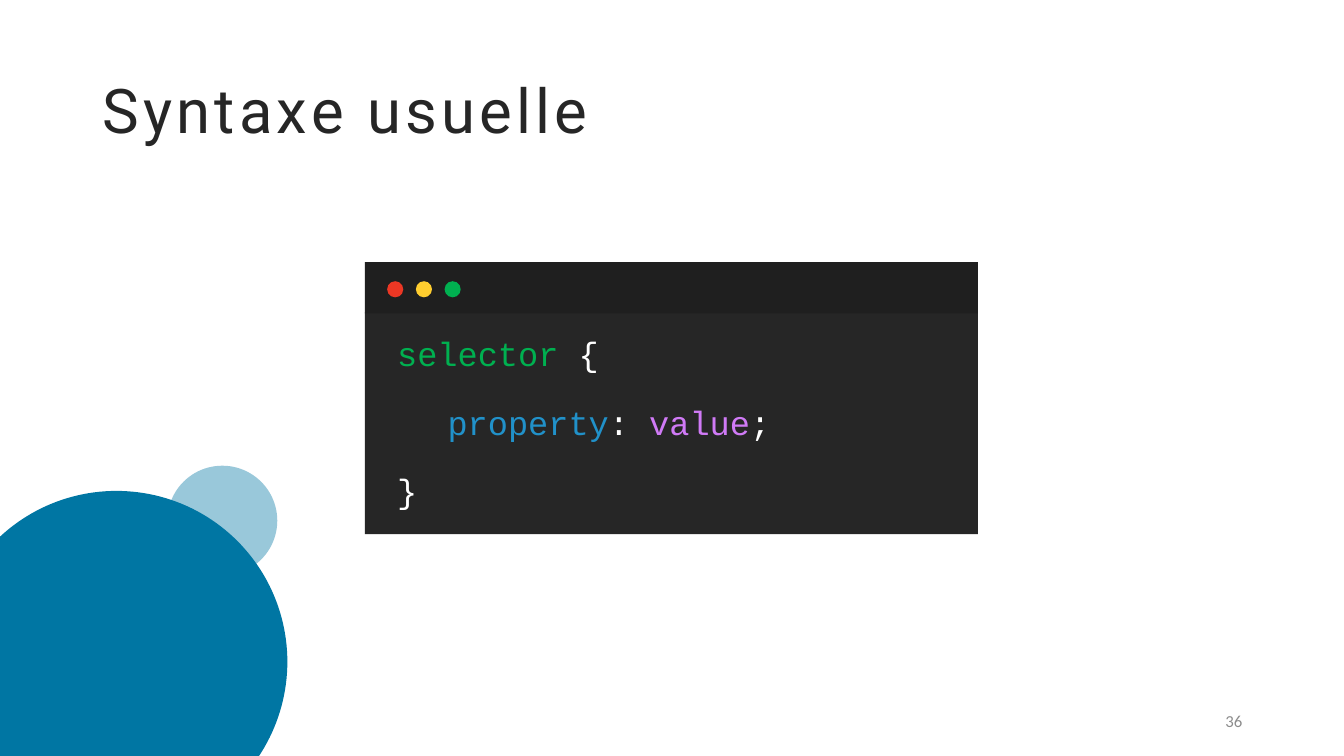
from pptx import Presentation
from pptx.dml.color import RGBColor
from pptx.enum.shapes import MSO_SHAPE as Preset
from pptx.enum.text import MSO_ANCHOR as Anchor, PP_ALIGN as Align
from pptx.oxml.xmlchemy import OxmlElement
from pptx.util import Inches, Pt

COLORS = {
    "title": "262626", "number": "8C8C8C", "blue": "0076A3",
    "window": "262626", "title bar": "1F1F1F",
    "red": "EC3724", "yellow": "FFCD2F", "green": "00B050",
    "property": "2191C9", "value": "D07AF6", "white": "FFFFFF",
}


def add_filled(preset, left, top, width, height, color):
    shape = slide.shapes.add_shape(
        preset, Inches(left), Inches(top), Inches(width), Inches(height))
    shape.shadow.inherit = False
    shape.fill.solid()
    shape.fill.fore_color.rgb = RGBColor.from_string(COLORS[color])
    shape.line.fill.background()
    return shape


def add_text(left, top, width, height, lines, font, size, anchor=Anchor.MIDDLE):
    """Add a text box; each line is a list of (text, color name) runs."""
    box = slide.shapes.add_textbox(
        Inches(left), Inches(top), Inches(width), Inches(height))
    frame = box.text_frame
    frame.word_wrap = True
    frame.vertical_anchor = anchor
    for index, line in enumerate(lines):
        paragraph = frame.add_paragraph() if index else frame.paragraphs[0]
        for text, color in line:
            run = paragraph.add_run()
            run.text = text
            run.font.name = font
            run.font.size = Pt(size)
            run.font.color.rgb = RGBColor.from_string(COLORS[color])
    return frame.paragraphs


presentation = Presentation()
presentation.slide_width = Inches(13.33)
presentation.slide_height = Inches(7.5)
slide = presentation.slides.add_slide(presentation.slide_layouts[6])

# Corner circles
small_circle = add_filled(Preset.OVAL, 1.66, 4.62, 1.09, 1.09, "blue")
alpha = OxmlElement("a:alpha")
alpha.set("val", "40000")
small_circle.fill._xPr.solidFill.find(".//{*}srgbClr").append(alpha)
add_filled(Preset.OVAL, -0.54, 4.87, 3.39, 3.39, "blue")

# Title and slide number
title = add_text(0.92, 0.4, 11.5, 1.45, [[("Syntaxe usuelle", "title")]], "Roboto", 44)[0]
title.line_spacing = 0.9
title.runs[0].font._element.set("spc", "300")
number = add_text(9.42, 6.95, 3, 0.4, [[("36", "number")]], "Calibri", 12)[0]
number.alignment = Align.RIGHT

# Code window
add_filled(Preset.RECTANGLE, 3.62, 3.1, 6.08, 2.2, "window")
add_filled(Preset.RECTANGLE, 3.62, 2.6, 6.08, 0.51, "title bar")
for position, button_color in enumerate(("red", "yellow", "green")):
    add_filled(Preset.OVAL, 3.84 + 0.285 * position, 2.79, 0.16, 0.16, button_color)

code = [
    [("selector ", "green"), ("{", "white")],
    [("\t", "property"), ("property", "property"), (": ", "white"),
     ("value", "value"), (";", "white")],
    [("}", "white")],
]
code_lines = add_text(3.84, 3.23, 5.58, 1.97, code, "Courier New", 24, Anchor.TOP)
for index, paragraph in enumerate(code_lines):
    paragraph.line_spacing = 1.07
    paragraph.space_before = Pt(10 if index else 0)
    paragraph.space_after = Pt(8)

presentation.save("out.pptx")
